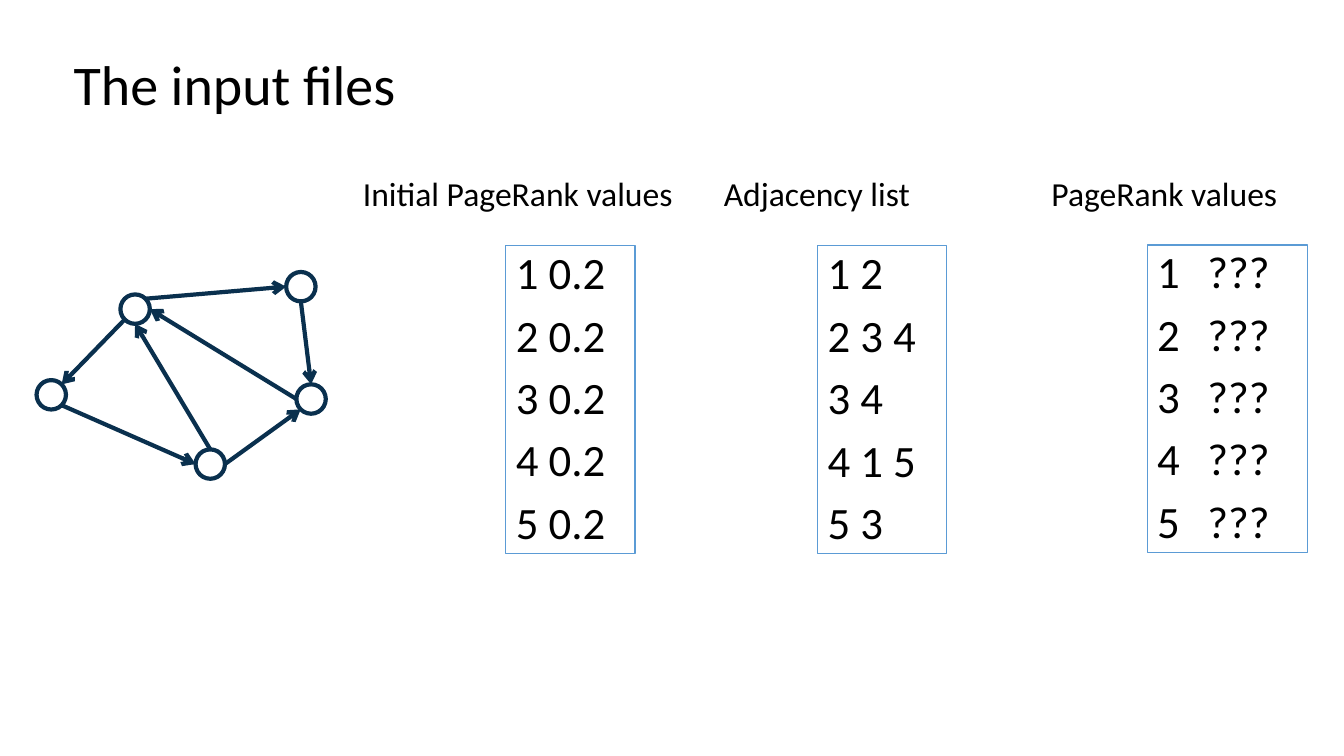
from dataclasses import dataclass
from math import cos, radians, sin

from lxml import etree
from pptx import Presentation
from pptx import util as u
from pptx.dml.color import RGBColor
from pptx.enum import shapes, text
from pptx.oxml import ns

COLOURS = {"ink": "000000", "frame": "5B9BD5", "graph": "0A304E"}
FONT = "Calibri"
NODE_SIZE = 21
LIST_HEIGHT = 219.6
TAB_STOP = 38.5
ANGLES = {"right": 0, "bottom right": 45, "bottom": 90, "bottom left": 135,
          "left": 180, "top": 270, "top right": 315}


@dataclass(frozen=True)
class Node:
    x: float
    y: float

    def site(self, side: str) -> tuple:
        angle = radians(ANGLES[side])
        radius = NODE_SIZE / 2
        return u.Pt(self.x + radius * cos(angle)), u.Pt(self.y + radius * sin(angle))


@dataclass(frozen=True)
class Edge:
    start: str
    start_side: str
    end: str
    end_side: str


@dataclass(frozen=True)
class FileList:
    heading: str
    heading_left: float
    heading_width: float
    left: float
    top: float
    width: float
    rows: tuple
    in_body: bool = False


NODES = {
    "1": Node(96.5, 220.8),
    "2": Node(36.6, 282),
    "3": Node(222.2, 285),
    "4": Node(150.2, 331.5),
    "5": Node(214.9, 204.8),
}

EDGES = (
    Edge("1", "bottom left", "2", "top right"),
    Edge("2", "bottom right", "4", "left"),
    Edge("4", "right", "3", "bottom left"),
    Edge("3", "left", "1", "right"),
    Edge("1", "top right", "5", "left"),
    Edge("4", "top", "1", "bottom"),
    Edge("5", "bottom", "3", "top"),
)

FILE_LISTS = (
    FileList("Initial PageRank values", 259.2, 229.7, 361.4, 175.7, 92.2,
             tuple(f"{page} 0.2" for page in range(1, 6))),
    FileList("Adjacency list", 517, 144.7, 583.9, 175.7, 92.2,
             ("1 2", "2 3 4", "3 4", "4 1 5", "5 3"), in_body=True),
    FileList("PageRank values", 751, 182.9, 819.4, 175, 114.5,
             tuple(f"{page}\t???" for page in range(1, 6))),
)


def colour(name: str) -> RGBColor:
    return RGBColor.from_string(COLOURS[name])


def place(box, left: float, top: float, width: float, height: float) -> None:
    box.left, box.top = u.Pt(left), u.Pt(top)
    box.width, box.height = u.Pt(width), u.Pt(height)


def set_line(line, name: str, width: float) -> None:
    line.color.rgb = colour(name)
    line.width = u.Pt(width)


def set_margins(frame, left: float, top: float, right: float, bottom: float) -> None:
    frame.margin_left, frame.margin_top = u.Pt(left), u.Pt(top)
    frame.margin_right, frame.margin_bottom = u.Pt(right), u.Pt(bottom)


def write(para, words: str, size: float) -> None:
    para.alignment = text.PP_ALIGN.LEFT
    span = para.add_run()
    span.text = words
    span.font.name = FONT
    span.font.size = u.Pt(size)
    span.font.color.rgb = colour("ink")


def draw_title(page) -> None:
    box = page.shapes.title
    place(box, 45.4, 37.4, 261.4, 61.9)
    frame = box.text_frame
    frame.word_wrap = True
    frame.auto_size = text.MSO_AUTO_SIZE.NONE
    frame.vertical_anchor = text.MSO_ANCHOR.TOP
    set_margins(frame, 7.2, 3.6, 7.2, 0)
    frame.paragraphs[0].line_spacing = 0.9
    write(frame.paragraphs[0], "The input files", 40)


def draw_edge(page, edge: Edge) -> None:
    start = NODES[edge.start].site(edge.start_side)
    end = NODES[edge.end].site(edge.end_side)
    arrow = page.shapes.add_connector(shapes.MSO_CONNECTOR.STRAIGHT, *start, *end)
    set_line(arrow.line, "graph", 3)
    outline = arrow.line._get_or_add_ln()
    etree.SubElement(outline, ns.qn("a:tailEnd"), type="arrow")
    etree.SubElement(arrow._element.spPr, ns.qn("a:effectLst"))


def draw_node(page, node: Node) -> None:
    half = NODE_SIZE / 2
    circle = page.shapes.add_shape(
        shapes.MSO_SHAPE.OVAL, u.Pt(node.x - half), u.Pt(node.y - half),
        u.Pt(NODE_SIZE), u.Pt(NODE_SIZE))
    circle.shadow.inherit = False
    circle.fill.background()
    set_line(circle.line, "graph", 3)


def draw_heading(page, item: FileList) -> None:
    box = page.shapes.add_textbox(
        u.Pt(item.heading_left), u.Pt(120.2), u.Pt(item.heading_width), u.Pt(36))
    frame = box.text_frame
    frame.word_wrap = True
    frame.auto_size = text.MSO_AUTO_SIZE.SHAPE_TO_FIT_TEXT
    set_margins(frame, 0, 3.6, 0, 3.6)
    write(frame.paragraphs[0], item.heading, 24)


def format_row(para, first: bool, tabbed: bool) -> None:
    properties = para._p.get_or_add_pPr()
    properties.set("marL", "0")
    properties.set("indent", "0")
    etree.SubElement(properties, ns.qn("a:buNone"))
    if tabbed:
        tabs = etree.SubElement(properties, ns.qn("a:tabLst"))
        etree.SubElement(tabs, ns.qn("a:tab"), pos=str(u.Pt(TAB_STOP)), algn="l")
    para.line_spacing = 0.9
    para.space_before = u.Pt(0 if first else 10)


def draw_file_list(page, item: FileList) -> None:
    bounds = (item.left, item.top, item.width, LIST_HEIGHT)
    if item.in_body:
        box = page.placeholders[1]
        place(box, *bounds)
    else:
        box = page.shapes.add_shape(
            shapes.MSO_SHAPE.RECTANGLE, *(u.Pt(length) for length in bounds))
        box.shadow.inherit = False
    box.fill.background()
    set_line(box.line, "frame", 0.75)
    frame = box.text_frame
    frame.word_wrap = True
    frame.auto_size = text.MSO_AUTO_SIZE.NONE
    frame.vertical_anchor = text.MSO_ANCHOR.TOP
    set_margins(frame, 7.2, 3.6, 7.2, 3.6)
    for index, row in enumerate(item.rows):
        para = frame.add_paragraph() if index else frame.paragraphs[0]
        format_row(para, index == 0, "\t" in row)
        write(para, row, 32)


def main() -> None:
    deck = Presentation()
    deck.slide_width, deck.slide_height = u.Pt(960), u.Pt(540)
    page = deck.slides.add_slide(deck.slide_layouts[1])
    draw_title(page)
    for edge in EDGES:
        draw_edge(page, edge)
    for node in NODES.values():
        draw_node(page, node)
    for item in FILE_LISTS:
        draw_heading(page, item)
        draw_file_list(page, item)
    deck.save("out.pptx")


if __name__ == "__main__":
    main()
